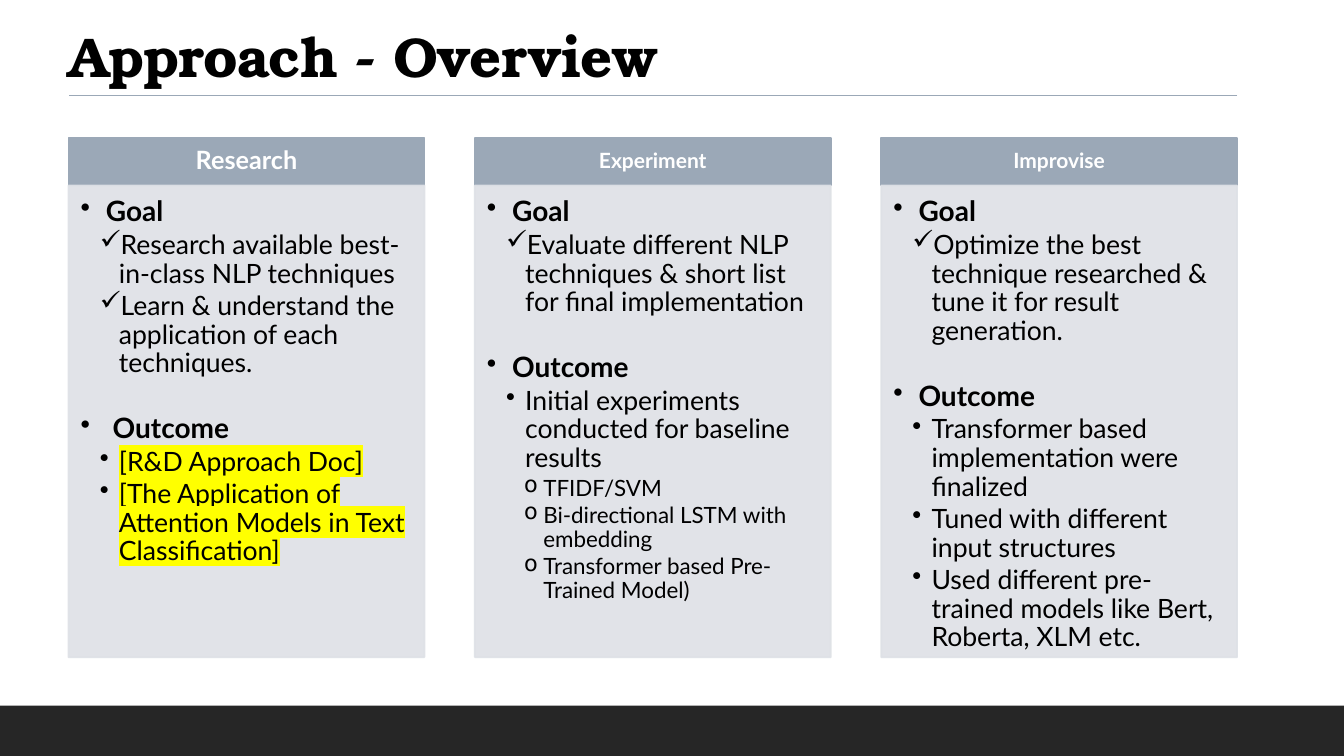
import pptx
import pptx.util
import pptx.dml.color
import pptx.enum.shapes
import pptx.enum.text
import pptx.oxml.ns
import lxml.etree

TITLE = "Approach - Overview"

# Each column: heading, heading size, lines of (kind, text)
COLUMNS = [
    ("Research", 18, [
        ("head", "Goal"),
        ("check", "Research available best-in-class NLP techniques"),
        ("check", "Learn & understand the application of each techniques."),
        ("next", " Outcome"),
        ("marked", "[R&D Approach Doc]"),
        ("marked", "[The Application of Attention Models in Text Classification]"),
    ]),
    ("Experiment", 15, [
        ("head", "Goal"),
        ("check", "Evaluate different NLP techniques & short list for final implementation"),
        ("next", "Outcome"),
        ("dot", "Initial experiments conducted for baseline results"),
        ("sub", "TFIDF/SVM"),
        ("sub", "Bi-directional LSTM with embedding"),
        ("sub", "Transformer based Pre-Trained Model)"),
    ]),
    ("Improvise", 15, [
        ("head", "Goal"),
        ("check", "Optimize the best technique researched & tune it for result generation."),
        ("next", "Outcome"),
        ("dot", "Transformer based implementation were finalized"),
        ("dot", "Tuned with different input structures"),
        ("dot", "Used different pre-trained models like Bert, Roberta, XLM etc."),
    ]),
]

# Kind of line: level, bullet, size, left margin, hanging indent, space before
KINDS = {
    "head": (1, "•", 20, 0.25, 0.25, 0),
    "next": (1, "•", 20, 0.25, 0.25, 23),
    "check": (2, "✓", 19, 0.38, 0.19, 0),
    "dot": (2, "•", 19, 0.38, 0.19, 0),
    "marked": (2, "•", 19, 0.38, 0.19, 0),
    "sub": (3, "o", 16, 0.56, 0.19, 0),
}

BLACK, WHITE, DARK = "000000", "FFFFFF", "262626"
SLATE, PALE, YELLOW = "9BA8B7", "DEE1E6", "FFFF00"
BODY, SERIF = "Lato", "TeX Gyre Bonum"

WIDE, HIGH = 13.33, 7.5
LEFT, RIGHT = 0.68, 12.27
CARD = 3.53
GAP = (RIGHT - LEFT - CARD * len(COLUMNS)) / (len(COLUMNS) - 1)
TOP, HEAD, TALL = 1.37, 0.47, 4.68
FOOT = HIGH / 15

inch = pptx.util.Inches
point = pptx.util.Pt
Anchor = pptx.enum.text.MSO_ANCHOR
Align = pptx.enum.text.PP_ALIGN

deck = pptx.Presentation()
deck.slide_width, deck.slide_height = inch(WIDE), inch(HIGH)
slide = deck.slides.add_slide(deck.slide_layouts[6])


def tint(color):
    return pptx.dml.color.RGBColor.from_string(color)


def node(tag, **attrs):
    return lxml.etree.Element(pptx.oxml.ns.qn(tag), attrs)


def paint(shape, color, line=None, alpha=None):
    """Fill and outline a shape; alpha is opacity in percent."""
    shape.shadow.inherit = False
    shape.fill.solid()
    shape.fill.fore_color.rgb = tint(color)
    if line:
        shape.line.color.rgb = tint(color)
        shape.line.width = point(line)
    else:
        shape.line.fill.background()
    if alpha:
        for part in shape._element.spPr.iter(pptx.oxml.ns.qn("a:srgbClr")):
            part.append(node("a:alpha", val=str(alpha * 1000)))


def block(left, top, width, height, color, line=None, alpha=None):
    kind = pptx.enum.shapes.MSO_SHAPE.RECTANGLE
    shape = slide.shapes.add_shape(kind, inch(left), inch(top), inch(width), inch(height))
    paint(shape, color, line, alpha)
    return shape


def frame(shape, anchor, left, top, right, low):
    """Set wrapping, anchor and insets, and return the text frame."""
    text = shape.text_frame
    text.word_wrap = True
    text.vertical_anchor = anchor
    text.margin_left, text.margin_top = inch(left), inch(top)
    text.margin_right, text.margin_bottom = inch(right), inch(low)
    return text


def write(para, text, size, color, bold, face=BODY, align=Align.LEFT):
    para.text = text
    para.alignment = align
    para.line_spacing = 0.9
    font = para.runs[0].font
    font.size, font.bold, font.name = point(size), bold, face
    font.color.rgb = tint(color)
    return para.runs[0]


def item(para, kind, text):
    level, mark, size, left, hang, before = KINDS[kind]
    run = write(para, text, size, BLACK, level == 1)
    para.level = level
    para.space_before = point(before)
    para.space_after = point(size * 0.13)
    props = para._p.get_or_add_pPr()
    props.set("marL", str(inch(left)))
    props.set("indent", str(-inch(hang)))
    props.append(node("a:buChar", char=mark))
    if kind == "marked":
        light = node("a:highlight")
        light.append(node("a:srgbClr", val=YELLOW))
        run._r.rPr.find(pptx.oxml.ns.qn("a:solidFill")).addnext(light)


block(0, HIGH - FOOT, WIDE, FOOT, DARK)

title = slide.shapes.add_textbox(inch(0.6), inch(0.17), inch(11), inch(0.77))
text = frame(title, Anchor.BOTTOM, 0.08, 0.05, 0.1, 0.05)
run = write(text.paragraphs[0], TITLE, 40, BLACK, True, SERIF)
run._r.rPr.set("spc", "-50")

rule = slide.shapes.add_connector(
    pptx.enum.shapes.MSO_CONNECTOR.STRAIGHT,
    inch(RIGHT), inch(0.95), inch(LEFT), inch(0.95))
rule.line.color.rgb = tint(SLATE)
rule.line.width = point(1)
rule._element.spPr.append(node("a:effectLst"))

for col, (name, size, lines) in enumerate(COLUMNS):
    left = LEFT + col * (CARD + GAP)
    head = block(left, TOP, CARD, HEAD, SLATE, 1.25)
    text = frame(head, Anchor.MIDDLE, 0.12, 0.07, 0.12, 0.07)
    write(text.paragraphs[0], name, size, WHITE, True, align=Align.CENTER)

    card = block(left, TOP + HEAD, CARD, TALL, PALE, 1.25, 90)
    text = frame(card, Anchor.TOP, 0.12, 0.12, 0.16, 0.17)
    for row, (kind, words) in enumerate(lines):
        para = text.add_paragraph() if row else text.paragraphs[0]
        item(para, kind, words)

deck.save("out.pptx")
